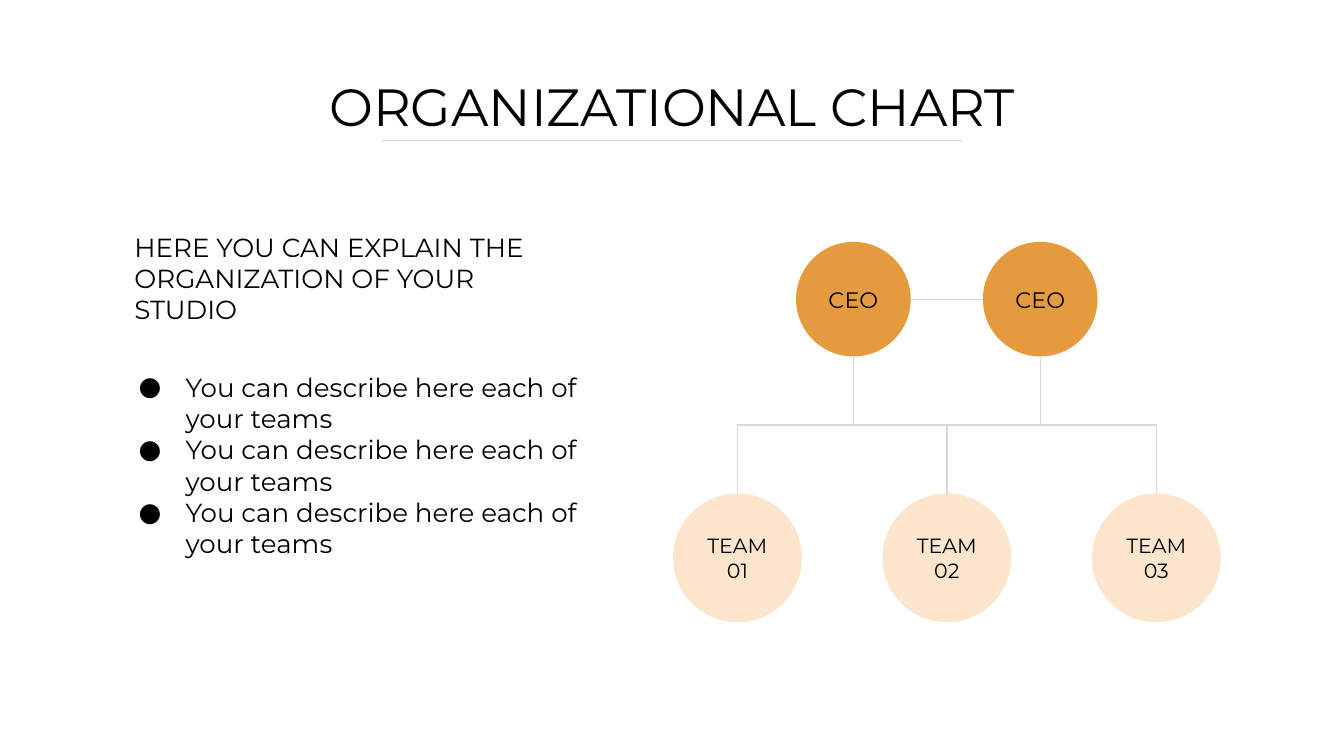
from pptx import Presentation
from pptx.dml.color import RGBColor
from pptx.enum import shapes, text
from pptx.oxml import parse_xml
from pptx.oxml.ns import nsdecls
from pptx.util import Pt

COLORS = {"text": "000000", "line": "D9D9D9", "ceo": "E59B3D", "team": "FCE5CD"}
FONT = "Montserrat"


def write(shape, lines, size, align, anchor):
    """Put one paragraph per line into a shape and format it."""
    frame = shape.text_frame
    frame.text = "\n".join(lines)
    frame.word_wrap = True
    frame.auto_size = text.MSO_AUTO_SIZE.NONE
    frame.vertical_anchor = anchor
    frame.margin_left = frame.margin_right = Pt(7.2)
    frame.margin_top = frame.margin_bottom = Pt(7.2)
    for para in frame.paragraphs:
        para.alignment = align
        para.space_before = Pt(0)
        for span in para.runs:
            span.font.name = FONT
            span.font.size = Pt(size)
            span.font.color.rgb = RGBColor.from_string(COLORS["text"])


def add_line(kind, x1, y1, x2, y2):
    """Add a thin grey connector without a shadow."""
    line = page.shapes.add_connector(kind, Pt(x1), Pt(y1), Pt(x2), Pt(y2))
    line.line.color.rgb = RGBColor.from_string(COLORS["line"])
    line.line.width = Pt(0.75)
    line._element.spPr.append(parse_xml(f"<a:effectLst {nsdecls('a')}/>"))
    return line


deck = Presentation()
deck.slide_width, deck.slide_height = Pt(720), Pt(405)
page = deck.slides.add_slide(deck.slide_layouts.get_by_name("Two Content"))
title, subtitle, body = page.placeholders
LEFT, CENTER = text.PP_ALIGN.LEFT, text.PP_ALIGN.CENTER
TOP, MIDDLE, BOTTOM = (text.MSO_ANCHOR.TOP, text.MSO_ANCHOR.MIDDLE,
                       text.MSO_ANCHOR.BOTTOM)
STRAIGHT, ELBOW = shapes.MSO_CONNECTOR.STRAIGHT, shapes.MSO_CONNECTOR.ELBOW

# Title, subtitle and list
for box, place in ((title, (42.5, 35.3, 635, 45.4)),
                   (subtitle, (64.8, 116.6, 232.6, 58.3)),
                   (body, (64.8, 191.5, 261.4, 205.2))):
    box.left, box.top, box.width, box.height = map(Pt, place)

write(title, ["ORGANIZATIONAL CHART"], 28, CENTER, BOTTOM)
write(subtitle, ["HERE YOU CAN EXPLAIN THE ORGANIZATION OF YOUR STUDIO"], 14, LEFT, TOP)
write(body, ["You can describe here each of your teams"] * 3, 14, LEFT, TOP)

props = subtitle.text_frame.paragraphs[0]._p.get_or_add_pPr()
props.set("marL", "0")
props.set("indent", "0")
props.append(parse_xml(f"<a:buNone {nsdecls('a')}/>"))
for para in body.text_frame.paragraphs:
    props = para._p.get_or_add_pPr()
    props.set("marL", str(Pt(27.4)))
    props.set("indent", str(-Pt(25.2)))
    for bullet in (f'<a:buClr {nsdecls("a")}><a:srgbClr val="{COLORS["text"]}"/></a:buClr>',
                   f'<a:buFont {nsdecls("a")} typeface="{FONT}"/>',
                   f'<a:buChar {nsdecls("a")} char="●"/>'):
        props.append(parse_xml(bullet))

# Rule under the title
add_line(STRAIGHT, 204.5, 75.2, 515.5, 75.2)

# Circles of the chart
CEO_SIZE, CEO_TOP = 61.4, 129.6
TEAM_SIZE, TEAM_TOP = 69, 264.4
ceo_x = [457.2, 557.3]
team_x = [395.1 + 112.2 * i for i in range(3)]
circles = [(x, CEO_TOP, CEO_SIZE, "ceo", ["CEO"], 12) for x in ceo_x]
circles += [(x, TEAM_TOP, TEAM_SIZE, "team", ["TEAM", f"{i:02}"], 11)
            for i, x in enumerate(team_x, 1)]
for x, top, size, color, lines, font_size in circles:
    circle = page.shapes.add_shape(shapes.MSO_SHAPE.OVAL, Pt(x - size / 2), Pt(top),
                                   Pt(size), Pt(size))
    circle.shadow.inherit = False
    circle.fill.solid()
    circle.fill.fore_color.rgb = RGBColor.from_string(COLORS[color])
    circle.line.fill.background()
    write(circle, lines, font_size, CENTER, MIDDLE)

# Link between the two CEOs
link_y = CEO_TOP + CEO_SIZE / 2
add_line(STRAIGHT, ceo_x[0] + CEO_SIZE / 2, link_y, ceo_x[1] - CEO_SIZE / 2, link_y)

# Elbows from CEOs to teams, turned so that they leave downwards
start_y = CEO_TOP + CEO_SIZE
half_drop = (TEAM_TOP - start_y) / 2
for start, end in [(ceo_x[0], x) for x in team_x] + [(ceo_x[1], team_x[1])]:
    mid_x, mid_y = (start + end) / 2, start_y + half_drop
    half_span = abs(end - start) / 2
    side = 1 if end > start else -1
    elbow = add_line(ELBOW, mid_x + side * half_drop, mid_y - half_span,
                     mid_x - side * half_drop, mid_y + half_span)
    elbow._element.spPr.xfrm.set("rot", str((270 if side > 0 else 90) * 60000))

deck.save("out.pptx")
